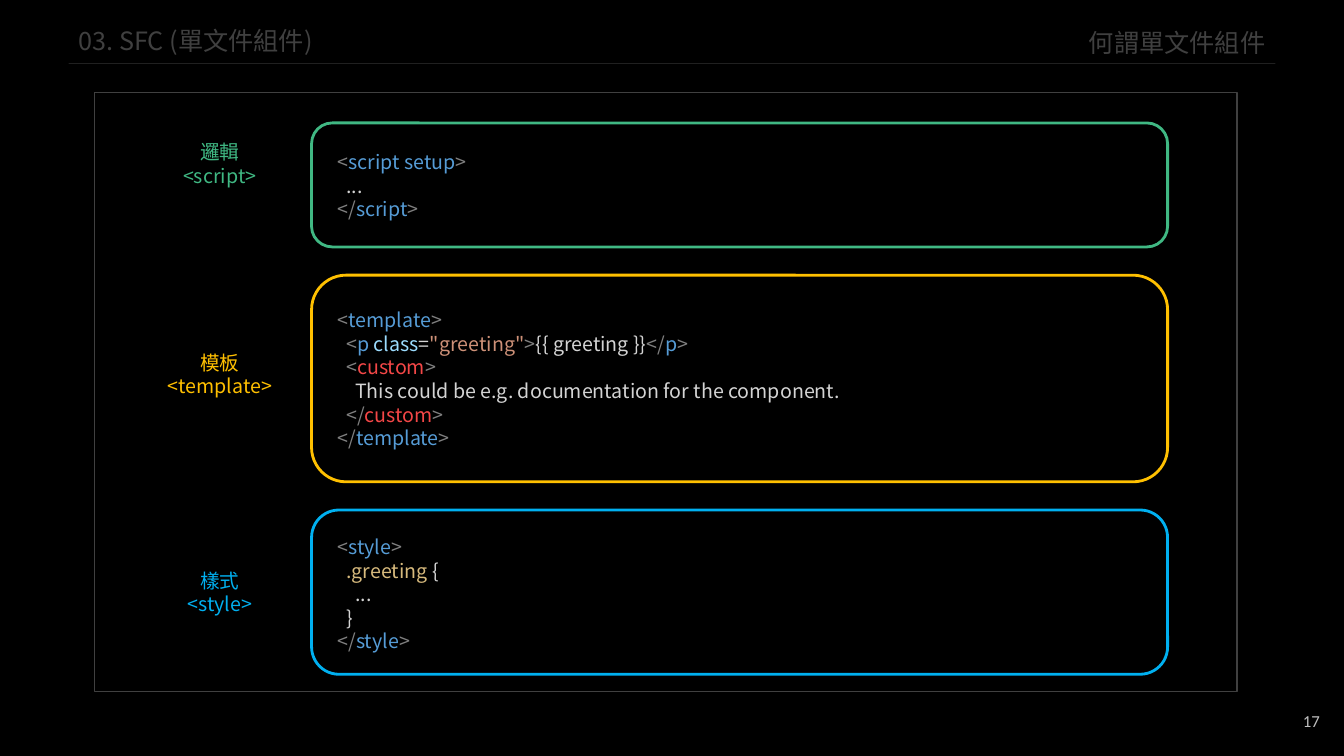
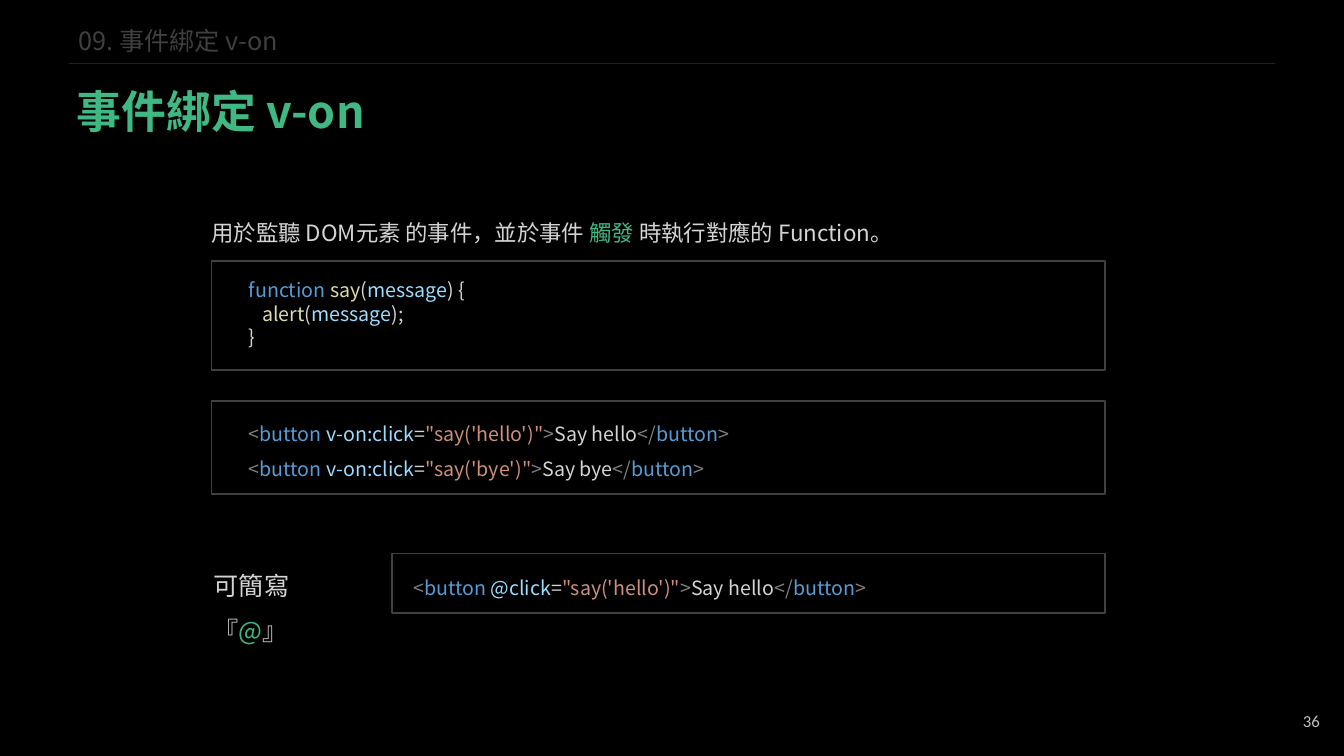
"""Build two dark lecture slides on single-file components and event binding."""
from lxml import etree
from pptx import Presentation
from pptx.dml.color import RGBColor
from pptx.enum import shapes, text
from pptx.oxml import ns
from pptx.util import Inches, Pt

COLORS = {
    "background": "000000", "muted": "404040", "number": "BFBFBF",
    "green": "40B883", "yellow": "FFC000", "blue": "00B0F0",
    "plain": "D4D4D4", "bracket": "808080", "tag": "569CD6",
    "attribute": "9CDCFE", "string": "CE9178", "custom": "F44747",
    "selector": "D7BA7D", "function": "DCDCAA",
}
FONT = "Noto Sans CJK TC"
NUMBER_FONT = "Calibri"
LEFT, CENTER, RIGHT = text.PP_ALIGN.LEFT, text.PP_ALIGN.CENTER, text.PP_ALIGN.RIGHT
TOP, MIDDLE = text.MSO_ANCHOR.TOP, text.MSO_ANCHOR.MIDDLE


def color(name):
    """Return the palette colour with this name."""
    return RGBColor.from_string(COLORS[name])


def write(frame, lines, size, align=LEFT, spacing=1.0, bold=False, font=FONT, anchor=TOP):
    """Fill a text frame with lines, each a list of (words, colour) runs."""
    frame.word_wrap = True
    frame.auto_size = text.MSO_AUTO_SIZE.NONE
    frame.vertical_anchor = anchor
    for index, line in enumerate(lines):
        paragraph = frame.paragraphs[0] if index == 0 else frame.add_paragraph()
        paragraph.alignment = align
        paragraph.line_spacing = spacing
        for words, shade in line:
            run = paragraph.add_run()
            run.text = words
            run.font.size = Pt(size)
            run.font.bold = bold
            run.font.name = font
            run.font.color.rgb = color(shade)
            east_asian = etree.SubElement(run.font._element, ns.qn("a:ea"))
            east_asian.set("typeface", font)


def add_text(slide, box, lines, size, **style):
    """Add a text box at box (left, top, width, height)."""
    area = slide.shapes.add_textbox(*map(Inches, box))
    write(area.text_frame, lines, size, **style)


def add_title(slide, box, words, size, shade, **style):
    """Place the slide's title placeholder and write its words."""
    title = slide.shapes.title
    title.left, title.top, title.width, title.height = map(Inches, box)
    write(title.text_frame, [[(words, shade)]], size, **style)


def add_frame(slide, box, shade="muted", weight=1, rounded=False):
    """Draw an unfilled outline around a region."""
    kind = shapes.MSO_SHAPE.ROUNDED_RECTANGLE if rounded else shapes.MSO_SHAPE.RECTANGLE
    frame = slide.shapes.add_shape(kind, *map(Inches, box))
    frame.shadow.inherit = False
    frame.fill.background()
    frame.line.color.rgb = color(shade)
    frame.line.width = Pt(weight)


def add_code_frame(slide, box, inset, lines, spacing=1.0):
    """Draw an outlined block with code set in by (left, top)."""
    left, top, width, height = box
    across, down = inset
    add_frame(slide, box)
    add_text(slide, (left + across, top + down, width - across, height - down),
             lines, 14, spacing=spacing)


def add_section(slide, box, shade, label, label_drop, code, code_drop):
    """Draw a rounded code block with its label on the left."""
    left, top, width, height = box
    add_frame(slide, box, shade, 2, rounded=True)
    add_text(slide, (left - 1.66, top + label_drop, 1.5, 0.57),
             [[(words, shade)] for words in label], 14, align=CENTER)
    add_text(slide, (left + 0.16, top + code_drop, width - 0.32, height - code_drop),
             code, 14)


def tag(name, shade="tag", opener="<", attributes=()):
    """Return the runs of one markup tag."""
    return [(opener, "bracket"), (name, shade), *attributes, (">", "bracket")]


def end_tag(name, shade="tag", indent=""):
    """Return the runs of one closing tag."""
    return tag(name, shade, indent + "</")


def assign(attribute, value):
    """Return the runs of one attribute with its value."""
    return [(attribute, "attribute"), ("=", "plain"), (value, "string")]


def button(attribute, word):
    """Return the runs of a button that says a word."""
    return [*tag("button ", attributes=assign(attribute, f"\"say('{word}')\"")),
            (f"Say {word}", "plain"), *end_tag("button")]


def add_slide(prs, chapter, number):
    """Add a slide with the chapter header, rule and page number."""
    slide = prs.slides.add_slide(prs.slide_layouts[5])
    add_text(slide, (0.68, 0.22, 2.79, 0.38), [[(chapter, "muted")]], 18, spacing=Pt(20))
    rule = slide.shapes.add_connector(
        shapes.MSO_CONNECTOR.STRAIGHT, *map(Inches, (0.68, 0.63, 12.65, 0.63)))
    rule.line.color.rgb = color("muted")
    rule.line.width = Pt(0.5)
    properties = rule._element.spPr
    shade = properties.find(".//" + ns.qn("a:srgbClr"))
    etree.SubElement(shade, ns.qn("a:alpha")).set("val", "50000")
    etree.SubElement(properties, ns.qn("a:effectLst"))
    add_text(slide, (10.19, 6.95, 3, 0.4), [[(number, "number")]], 12,
             align=RIGHT, font=NUMBER_FONT, anchor=MIDDLE)
    return slide


def build_component_slide(prs):
    """Show the three parts of a single-file component."""
    slide = add_slide(prs, "03. SFC (單文件組件)", "17")
    add_title(slide, (9.86, 0.22, 2.79, 0.4), "何謂單文件組件", 18, "muted", align=RIGHT)
    add_frame(slide, (0.94, 0.92, 11.33, 5.94))
    script = [tag("script setup"), [("  ...", "plain")], end_tag("script")]
    template = [
        tag("template"),
        [*tag("p ", opener="  <", attributes=assign("class", '"greeting"')),
         ("{{ greeting }}", "plain"), *end_tag("p")],
        tag("custom", "custom", "  <"),
        [("    This could be e.g. documentation for the component.", "plain")],
        end_tag("custom", "custom", "  "),
        end_tag("template"),
    ]
    style = [
        tag("style"),
        [("  .greeting", "selector"), (" {", "plain")],
        [("    ...", "plain")],
        [("  }", "plain")],
        end_tag("style"),
    ]
    sections = [
        (1.22, 1.23, "green", ("邏輯", "<script>"), 0.12, script, 0.22),
        (2.73, 2.05, "yellow", ("模板", "<template>"), 0.7, template, 0.28),
        (5.06, 1.63, "blue", ("樣式", "<style>"), 0.53, style, 0.2),
    ]
    for top, height, *content in sections:
        add_section(slide, (3.09, top, 8.49, height), *content)


def build_event_slide(prs):
    """Show event binding and its short form."""
    slide = add_slide(prs, "09. 事件綁定 v-on", "36")
    add_title(slide, (0.66, 0.51, 10.68, 0.81), "事件綁定 v-on", 32, "green",
              spacing=1.5, bold=True)
    add_text(slide, (2, 1.99, 8.86, 0.46),
             [[("用於監聽 DOM元素 的事件，並於事件 ", "plain"), ("觸發 ", "green"),
               ("時執行對應的 Function。", "plain")]], 16, spacing=1.5)
    say = [
        [("function ", "tag"), ("say", "function"), ("(", "plain"),
         ("message", "attribute"), (") {", "plain")],
        [("   alert", "function"), ("(", "plain"),
         ("message", "attribute"), (");", "plain")],
        [("}", "plain")],
    ]
    add_code_frame(slide, (2.1, 2.59, 8.86, 1.08), (0.27, 0.12), say)
    add_code_frame(slide, (2.1, 3.98, 8.86, 0.92), (0.27, 0.04),
                   [button("v-on:click", word) for word in ("hello", "bye")], 1.5)
    add_code_frame(slide, (3.89, 5.49, 7.07, 0.59), (0.11, 0.06),
                   [button("@click", "hello")], 1.5)
    add_text(slide, (2.02, 5.46, 1.55, 0.5),
             [[("可簡寫『", "plain"), ("@", "green"), ("』", "plain")]], 18, spacing=1.5)


def main():
    """Build and save the presentation."""
    prs = Presentation()
    prs.slide_width, prs.slide_height = Inches(13.33), Inches(7.5)
    backdrop = prs.slide_master.background.fill
    backdrop.solid()
    backdrop.fore_color.rgb = color("background")
    build_component_slide(prs)
    build_event_slide(prs)
    prs.save("out.pptx")


if __name__ == "__main__":
    main()
